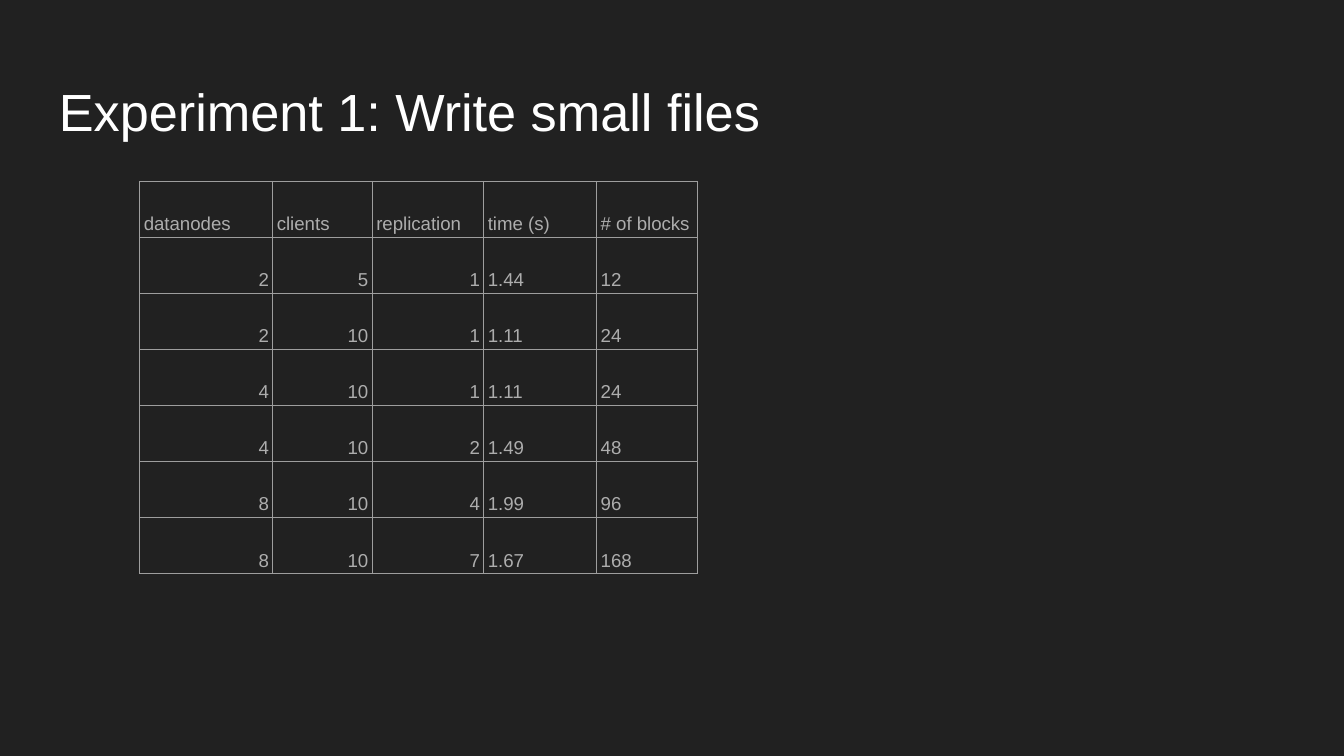
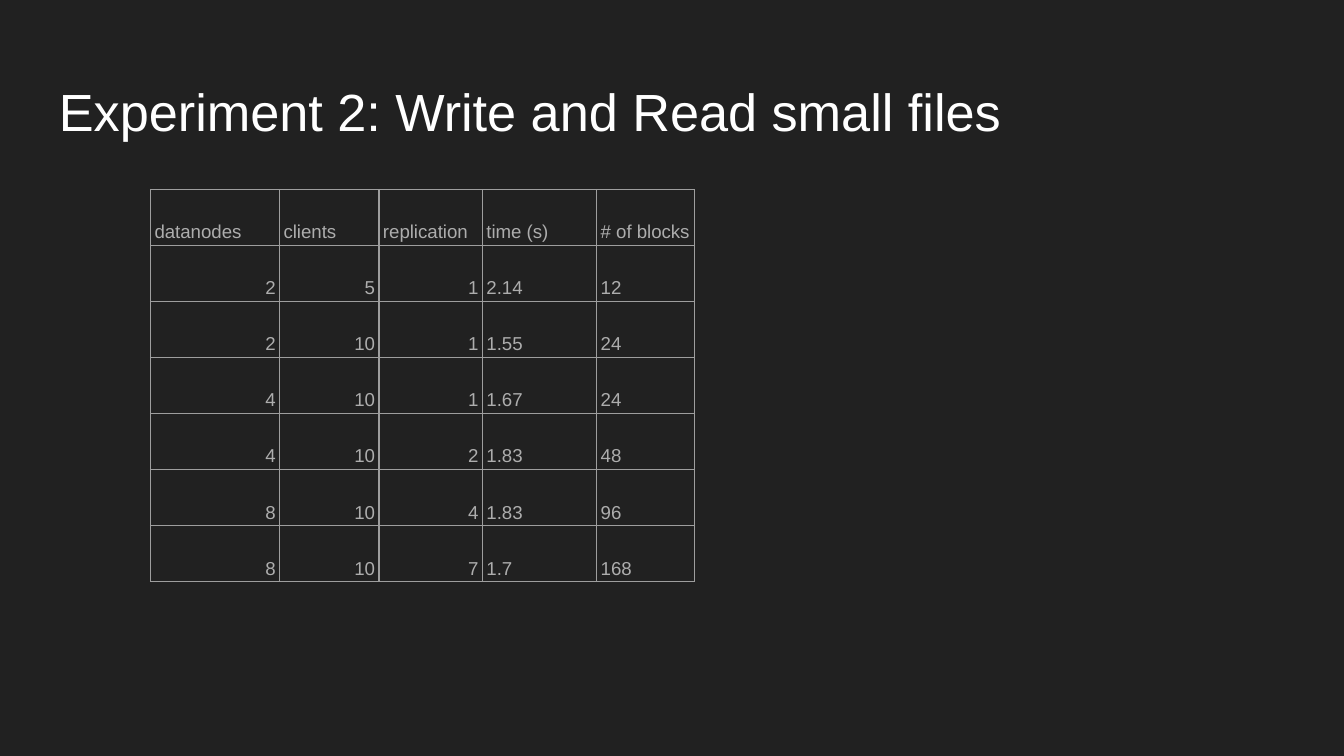
from dataclasses import dataclass

from lxml.etree import SubElement
from pptx import Presentation
from pptx.dml.color import RGBColor as Color
from pptx.enum.text import MSO_ANCHOR as Anchor, PP_ALIGN as Align
from pptx.oxml.ns import qn
from pptx.util import Inches, Pt


@dataclass(frozen=True)
class Theme:
    """Colours, type sizes and measures that the slides share."""
    font: str = "Arial"
    background: str = "212121"
    title_color: str = "FFFFFF"
    cell_color: str = "ADADAD"
    border_color: str = "9E9E9E"
    title_size: float = 28
    cell_size: float = 10
    border_width: float = 0.75
    line_spacing: float = 1.15
    width: float = 10
    height: float = 5.625
    margin: float = 0.34
    title_top: float = 0.49
    title_height: float = 0.63
    row_height: float = 2.92 / 7


THEME = Theme()
HEADINGS = ("datanodes", "clients", "replication", "time (s)", "# of blocks")
NUMERIC_COLUMNS = 3  # leading columns set flush right below the headings
# datanodes, clients, replication, blocks: the same runs in both experiments
SETTINGS = ((2, 5, 1, 12), (2, 10, 1, 24), (4, 10, 1, 24),
            (4, 10, 2, 48), (8, 10, 4, 96), (8, 10, 7, 168))


@dataclass(frozen=True)
class Experiment:
    """One slide: its title, the measured times and the table's place."""
    title: str
    times: tuple
    left: float
    top: float
    columns: tuple


EXPERIMENTS = (
    Experiment("Experiment 1: Write small files",
               ("1.44", "1.11", "1.11", "1.49", "1.99", "1.67"),
               1.04, 1.35, (0.99, 0.74, 0.83, 0.84, 0.75)),
    Experiment("Experiment 2: Write and Read small files",
               ("2.14", "1.55", "1.67", "1.83", "1.83", "1.7"),
               1.12, 1.41, (0.96, 0.74, 0.77, 0.85, 0.73)),
)


def add_run(para, text, size, color):
    """Add one styled run to a paragraph."""
    span = para.add_run()
    span.text = text
    span.font.name = THEME.font
    span.font.size = Pt(size)
    span.font.color.rgb = Color.from_string(color)


def set_margins(holder, side, end):
    """Set the insets of a text frame or a table cell."""
    holder.margin_left = holder.margin_right = Inches(side)
    holder.margin_top = holder.margin_bottom = Inches(end)


def add_page(deck):
    """Add a blank slide with the dark background."""
    page = deck.slides.add_slide(deck.slide_layouts[6])
    fill = page.background.fill
    fill.solid()
    fill.fore_color.rgb = Color.from_string(THEME.background)
    return page


def add_title(page, text):
    """Add the title across the slide, between the margins."""
    box = page.shapes.add_textbox(
        Inches(THEME.margin), Inches(THEME.title_top),
        Inches(THEME.width - 2 * THEME.margin), Inches(THEME.title_height))
    frame = box.text_frame
    frame.word_wrap = True
    set_margins(frame, 0.1, 0.1)
    add_run(frame.paragraphs[0], text, THEME.title_size, THEME.title_color)


def add_borders(cell):
    """Draw a thin line on all four sides of a cell."""
    properties = cell._tc.get_or_add_tcPr()
    for side in ("a:lnL", "a:lnR", "a:lnT", "a:lnB"):
        line = SubElement(properties, qn(side), w=str(Pt(THEME.border_width)))
        paint = SubElement(line, qn("a:solidFill"))
        SubElement(paint, qn("a:srgbClr"), val=THEME.border_color)


def fill_cell(cell, text, align):
    """Write and style one table cell."""
    add_borders(cell)
    cell.fill.background()
    cell.vertical_anchor = Anchor.BOTTOM
    set_margins(cell, 0.03, 0.02)
    para = cell.text_frame.paragraphs[0]
    para.alignment = align
    para.line_spacing = THEME.line_spacing
    add_run(para, text, THEME.cell_size, THEME.cell_color)


def add_results(page, experiment):
    """Add the table of settings, times and block counts."""
    rows = [HEADINGS]
    for (*setup, blocks), time in zip(SETTINGS, experiment.times):
        rows.append((*setup, time, blocks))
    table = page.shapes.add_table(
        len(rows), len(HEADINGS),
        Inches(experiment.left), Inches(experiment.top),
        Inches(sum(experiment.columns)),
        Inches(THEME.row_height * len(rows))).table
    table.first_row = table.horz_banding = False
    for column, width in zip(table.columns, experiment.columns):
        column.width = Inches(width)
    for r, values in enumerate(rows):
        table.rows[r].height = Inches(THEME.row_height)
        for c, value in enumerate(values):
            flush_right = r > 0 and c < NUMERIC_COLUMNS
            fill_cell(table.cell(r, c), str(value),
                      Align.RIGHT if flush_right else Align.LEFT)


def main():
    """Build one slide for each experiment and save the deck."""
    deck = Presentation()
    deck.slide_width = Inches(THEME.width)
    deck.slide_height = Inches(THEME.height)
    for experiment in EXPERIMENTS:
        page = add_page(deck)
        add_title(page, experiment.title)
        add_results(page, experiment)
    deck.save("out.pptx")


main()
